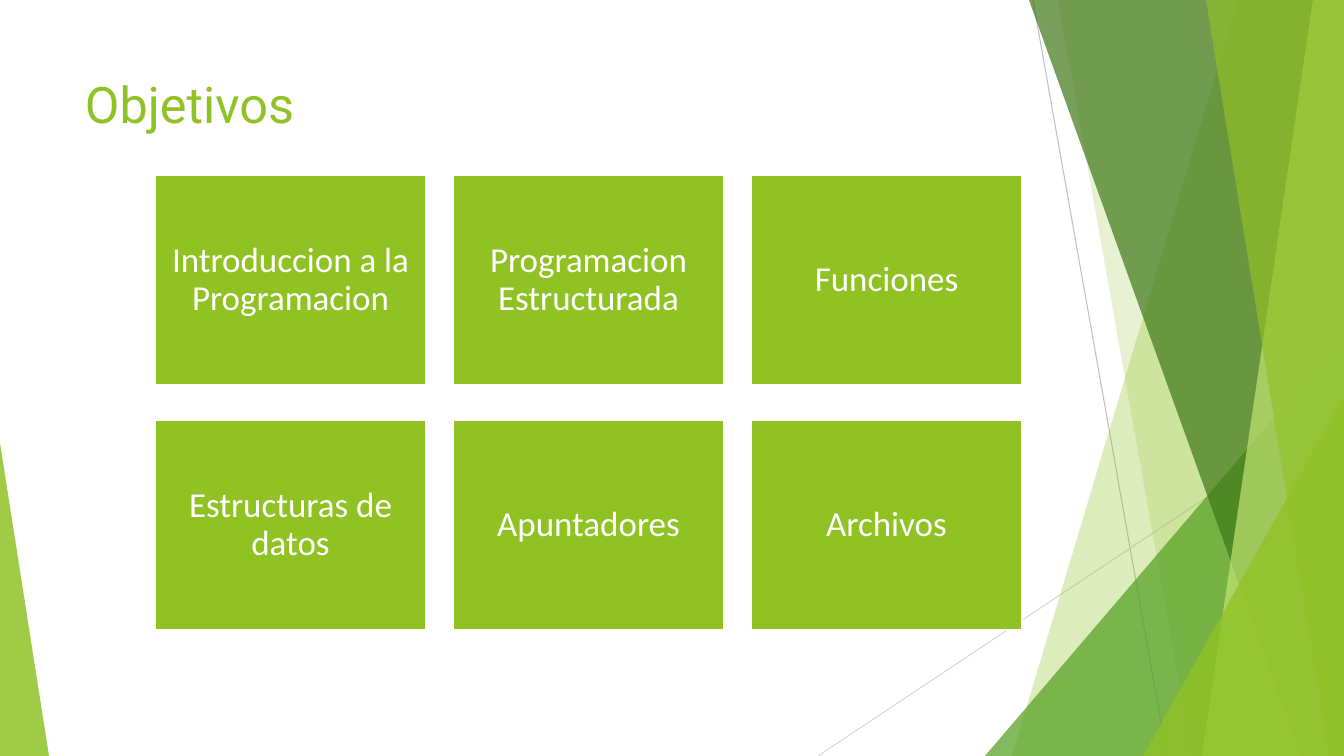
from lxml.etree import SubElement
from pptx import Presentation
from pptx.dml.color import RGBColor
from pptx.enum.shapes import MSO_CONNECTOR, MSO_SHAPE
from pptx.enum.text import MSO_ANCHOR, PP_ALIGN
from pptx.oxml.ns import qn
from pptx.util import Pt

PX = 9144000 / 1008
WIDTH, HEIGHT = 1344, 756

COLORS = {
    "lime": "90C226",
    "card": "90C223",
    "green": "54A021",
    "forest": "3F7818",
    "pale": "BFE471",
    "gray": "BFBFBF",
    "silver": "D8D8D8",
    "white": "FFFFFF",
}

TITLE = "Objetivos"
TITLE_BOX = (75, 68, 948, 145)

TOPICS = [
    "Introduccion a la Programacion",
    "Programacion Estructurada",
    "Funciones",
    "Estructuras de datos",
    "Apuntadores",
    "Archivos",
]
COLUMNS = 3
CARD_LEFT, CARD_TOP = 155, 175
CARD_WIDTH, CARD_HEIGHT = 271, 210
COLUMN_STEP, ROW_STEP = 298, 245
CARD_INSET = 10

RAYS = [
    ((1033, 0), (1167, HEIGHT), "gray"),
    ((WIDTH, 406), (818, HEIGHT), "silver"),
]

# BAND: top-left x, bottom-left x; WEDGE: left, top, width, apex
BAND, WEDGE = "band", "wedge"
FACETS = [
    (BAND, (1238, 1012), "lime", 30),
    (BAND, (1058, 1192), "lime", 20),
    (WEDGE, (985, 336, 359, 1), "green", 72),
    (BAND, (1029, 1301), "forest", 70),
    (BAND, (1313, 1202), "pale", 70),
    (BAND, (1206, 1329), "lime", 65),
    (WEDGE, (1143, 396, 201, 1), "lime", 80),
    (WEDGE, (0, 443, 49, 0), "lime", 85),
]


def px(*lengths):
    return [round(length * PX) for length in lengths]


def color(name):
    return RGBColor.from_string(COLORS[name])


def paint(shape, name, opacity=100):
    shape.shadow.inherit = False
    shape.fill.solid()
    shape.fill.fore_color.rgb = color(name)
    shape.line.fill.background()
    if opacity < 100:
        tint = shape.fill._xPr.find(qn("a:solidFill"))[0]
        SubElement(tint, qn("a:alpha")).set("val", str(opacity * 1000))


def add_ray(shapes, start, end, name):
    ray = shapes.add_connector(MSO_CONNECTOR.STRAIGHT, *px(*start, *end))
    ray.line.color.rgb = color(name)
    ray.line.width = Pt(0.75)
    SubElement(ray._element.spPr, qn("a:effectLst"))


def add_band(shapes, top_x, bottom_x):
    outline = shapes.build_freeform(top_x, 0, scale=PX)
    corners = [(WIDTH, 0), (WIDTH, HEIGHT), (bottom_x, HEIGHT)]
    outline.add_line_segments(corners, close=True)
    return outline.convert_to_shape()


def add_wedge(shapes, left, top, width, apex):
    wedge = shapes.add_shape(
        MSO_SHAPE.ISOSCELES_TRIANGLE, *px(left, top, width, HEIGHT - top)
    )
    wedge.adjustments[0] = apex
    return wedge


def add_title(shapes):
    frame = shapes.add_textbox(*px(*TITLE_BOX)).text_frame
    frame.word_wrap = True
    heading = frame.paragraphs[0]
    heading.text = TITLE
    heading.font.name = "Roboto"
    heading.font.size = Pt(36)
    heading.font.color.rgb = color("lime")


def add_card(shapes, index, topic):
    row, column = divmod(index, COLUMNS)
    left = CARD_LEFT + column * COLUMN_STEP
    top = CARD_TOP + row * ROW_STEP
    card = shapes.add_shape(
        MSO_SHAPE.RECTANGLE, *px(left, top, CARD_WIDTH, CARD_HEIGHT)
    )
    paint(card, "card")
    card.line.color.rgb = color("white")
    card.line.width = Pt(1.5)
    frame = card.text_frame
    frame.word_wrap = True
    frame.vertical_anchor = MSO_ANCHOR.MIDDLE
    inset = px(CARD_INSET)[0]
    frame.margin_left = frame.margin_right = inset
    frame.margin_top = frame.margin_bottom = inset
    label = frame.paragraphs[0]
    label.text = topic
    label.alignment = PP_ALIGN.CENTER
    label.line_spacing = 0.9
    label.font.name = "Calibri"
    label.font.size = Pt(25)
    label.font.color.rgb = color("white")


def main():
    deck = Presentation()
    deck.slide_width, deck.slide_height = px(WIDTH, HEIGHT)
    shapes = deck.slides.add_slide(deck.slide_layouts[6]).shapes
    for start, end, name in RAYS:
        add_ray(shapes, start, end, name)
    builders = {BAND: add_band, WEDGE: add_wedge}
    for kind, geometry, name, opacity in FACETS:
        paint(builders[kind](shapes, *geometry), name, opacity)
    add_title(shapes)
    for index, topic in enumerate(TOPICS):
        add_card(shapes, index, topic)
    deck.save("out.pptx")


if __name__ == "__main__":
    main()
